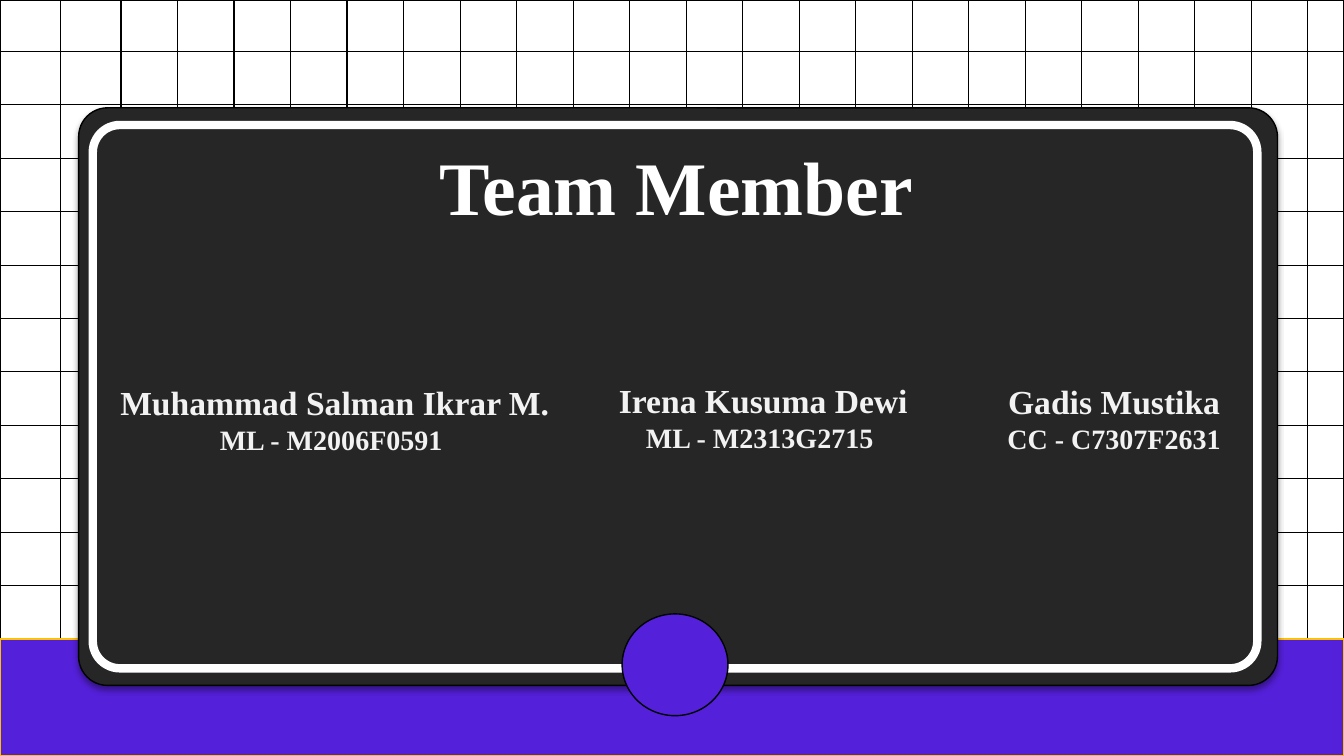
from lxml import etree
from pptx import Presentation
from pptx.dml.color import RGBColor
from pptx.enum.shapes import MSO_CONNECTOR, MSO_SHAPE
from pptx.enum.text import PP_ALIGN
from pptx.oxml import parse_xml
from pptx.oxml.ns import nsdecls, qn
from pptx.util import Inches, Pt

WIDTH, HEIGHT = 13.33, 7.5
HORIZON = 6.34
FONT = "Times New Roman"
BLACK, WHITE, DARK = "000000", "FFFFFF", "262626"
PURPLE, GOLD, PALE = "5520DA", "FFC000", "F2F2F2"

# Centre, top, name and identifier of each member
MEMBERS = [
    (3.32, 3.74, "Muhammad Salman Ikrar M.", "ML - M2006F0591 "),
    (7.57, 3.72, "Irena Kusuma Dewi", "ML - M2313G2715 "),
    (11.05, 3.73, "Gadis Mustika", "CC - C7307F2631"),
]


def color(value):
    return RGBColor.from_string(value)


def add_box(slide, kind, box, fill, line, line_width=1, corner=None):
    shape = slide.shapes.add_shape(kind, *map(Inches, box))
    shape.shadow.inherit = False
    shape.fill.solid()
    shape.fill.fore_color.rgb = color(fill)
    shape.line.color.rgb = color(line)
    shape.line.width = Pt(line_width)
    if corner is not None:
        shape.adjustments[0] = corner
    return shape


def add_line(slide, *ends):
    line = slide.shapes.add_connector(MSO_CONNECTOR.STRAIGHT, *map(Inches, ends))
    line.line.color.rgb = color(BLACK)
    line.line.width = Pt(0.75)
    etree.SubElement(line._element.spPr, qn("a:effectLst"))


def add_text(slide, box, lines, text_color):
    text_frame = slide.shapes.add_textbox(*map(Inches, box)).text_frame
    text_frame.word_wrap = True
    text_frame.margin_left = text_frame.margin_right = 0
    text_frame.text = "\n".join(text for text, _ in lines)
    for paragraph, (_, size) in zip(text_frame.paragraphs, lines):
        paragraph.alignment = PP_ALIGN.CENTER
        for run in paragraph.runs:
            run.font.name = FONT
            run.font.size = Pt(size)
            run.font.bold = True
            run.font.color.rgb = color(text_color)


def add_soft_shadow(shape):
    properties = shape._element.spPr
    properties.remove(properties.find(qn("a:effectLst")))
    properties.append(parse_xml(
        f'<a:effectLst {nsdecls("a")}>'
        f'<a:outerShdw blurRad="{Pt(4)}" dist="{Pt(3)}" dir="5400000" rotWithShape="0">'
        f'<a:srgbClr val="{BLACK}"><a:alpha val="40000"/></a:srgbClr>'
        '</a:outerShdw></a:effectLst>'))


def add_backdrop(slide, left, top, width, height):
    add_box(slide, MSO_SHAPE.RECTANGLE, (left, top, width, HORIZON), WHITE, BLACK)
    # Grid: the first column is slightly wider than the others
    columns = [0.6] + [1.2 + 0.5605 * index for index in range(22)]
    for x in columns:
        add_line(slide, left + x, top, left + x, top + height)
    for index in range(14):
        y = top + 0.51 + 0.53 * index
        add_line(slide, left, y, left + width, y)
    # Floor band
    add_box(slide, MSO_SHAPE.RECTANGLE,
            (left, top + HORIZON, width, height - HORIZON), PURPLE, GOLD)


def add_panel(slide, left, top, width, height):
    panel = add_box(slide, MSO_SHAPE.ROUNDED_RECTANGLE,
                    (left, top, width, height), DARK, BLACK, corner=0.05)
    add_soft_shadow(panel)
    add_box(slide, MSO_SHAPE.ROUNDED_RECTANGLE,
            (left + 0.14, top + 0.17, width - 0.34, height - 0.34),
            DARK, WHITE, 6, 0.05)
    # Title and badge on the lower edge
    add_text(slide, (left - 0.7, top + 0.27, 13.25, 1.01), [("Team Member", 54)], WHITE)
    add_box(slide, MSO_SHAPE.OVAL,
            (left + 5.39, top + height - 0.71, 1.05, 1.01), PURPLE, BLACK)


def add_member(slide, center, top, width, name, identifier):
    add_text(slide, (center - width / 2, top, width, 0.84),
             [(name, 24), (identifier, 20)], PALE)


def main():
    presentation = Presentation()
    presentation.slide_width = Inches(WIDTH)
    presentation.slide_height = Inches(HEIGHT)
    slide = presentation.slides.add_slide(presentation.slide_layouts[6])
    add_backdrop(slide, 0, 0, WIDTH, HEIGHT)
    add_panel(slide, 0.78, 1.07, 11.89, 5.73)
    for center, top, name, identifier in MEMBERS:
        add_member(slide, center, top, 4.5, name, identifier)
    presentation.save("out.pptx")


if __name__ == "__main__":
    main()
